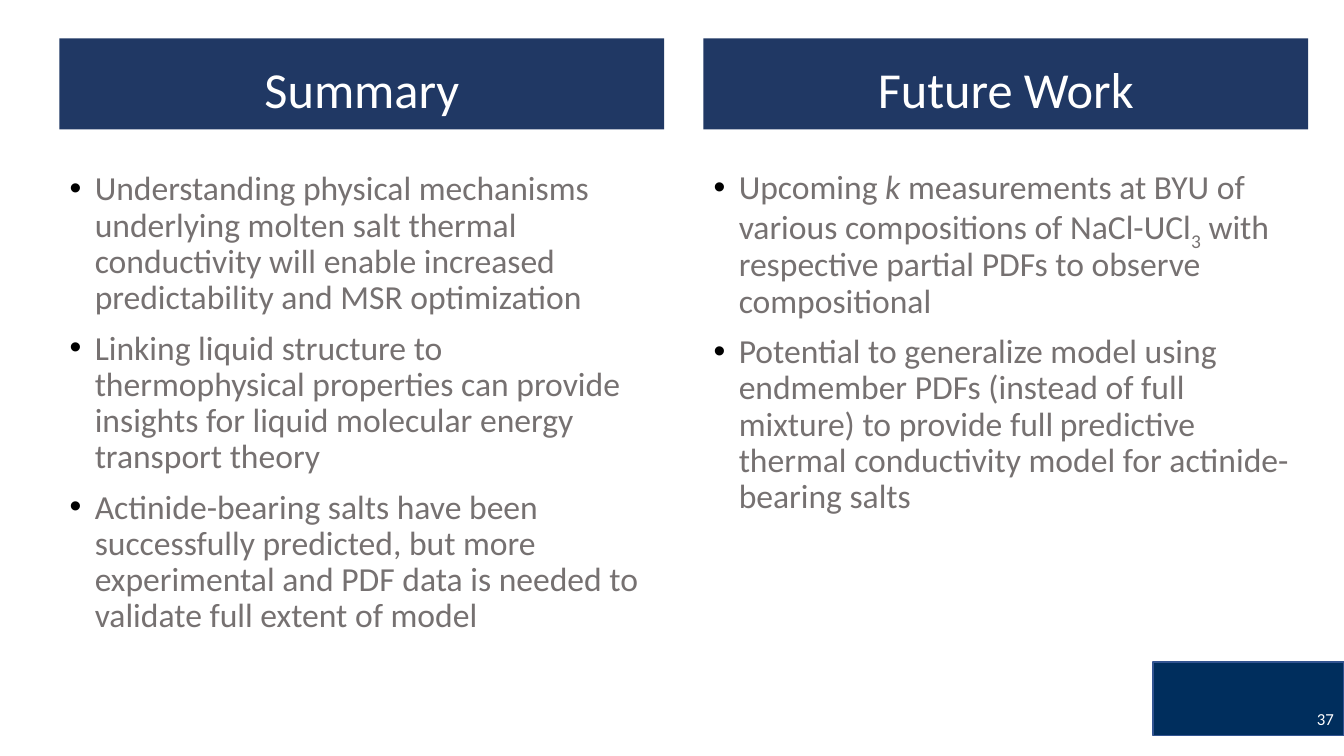
from collections import namedtuple
from dataclasses import dataclass

from lxml import etree
from pptx import Presentation
from pptx import util as u
from pptx.dml.color import RGBColor
from pptx.enum import shapes, text
from pptx.oxml import ns

Box = namedtuple("Box", "left top width height")


@dataclass(frozen=True)
class Theme:
    font: str = "Calibri"
    banner: str = "203864"
    corner: str = "002E5D"
    corner_line: str = "325491"
    body: str = "767171"
    bullet: str = "000000"
    light: str = "FFFFFF"
    heading_size: float = 36
    body_size: float = 24
    small_size: float = 20
    number_size: float = 12


THEME = Theme()
INSET = 7.2
BANNER_HEIGHT = 65
COLUMN_PITCH = 460
FIRST_COLUMN = Box(42.5, 27.4, 432, 469.4)
CORNER = Box(823.7, 473, 136.3, 52.6)
PARAGRAPH_FORMAT = {"line_spacing": 0.9, "space_after": u.Pt(0)}

COLUMNS = [
    ("Summary", 23.2, [
        [("Understanding physical mechanisms underlying molten salt thermal conductivity "
          "will enable increased predictability and MSR optimization", "")],
        [("Linking liquid structure to thermophysical properties can provide insights "
          "for liquid molecular energy transport theory", "")],
        [("Actinide-bearing salts have been successfully predicted, but more experimental "
          "and PDF data is needed to validate full extent of model", "")],
    ]),
    ("Future Work", 22.1, [
        [("Upcoming ", ""), ("k", "italic"),
         (" measurements at BYU of various compositions of NaCl-UCl", ""),
         ("3", "subscript"),
         (" with respective partial PDFs to observe compositional", "")],
        [("Potential to generalize model using endmember PDFs (instead of full mixture) "
          "to provide full", ""), (" ", "small"),
         ("predictive thermal conductivity model for actinide-bearing salts", "")],
    ]),
]


def apply(target, values):
    for name, value in values.items():
        setattr(target, name, value)


def place(shape, box):
    apply(shape, {name: u.Pt(value) for name, value in box._asdict().items()})


def set_frame(shape, anchor):
    apply(shape.text_frame, {
        "word_wrap": True,
        "auto_size": text.MSO_AUTO_SIZE.NONE,
        "vertical_anchor": anchor,
        "margin_left": u.Pt(INSET),
        "margin_right": u.Pt(INSET),
        "margin_top": u.Pt(INSET),
        "margin_bottom": u.Pt(INSET),
    })


def fill_solid(shape, color):
    shape.fill.solid()
    shape.fill.fore_color.rgb = RGBColor.from_string(color)


def add_run(paragraph, words, size, color, style=""):
    run = paragraph.add_run()
    run.text = words
    apply(run.font, {"name": THEME.font, "size": u.Pt(size), "bold": False,
                     "italic": style == "italic"})
    run.font.color.rgb = RGBColor.from_string(color)
    if style == "subscript":
        run._r.get_or_add_rPr().set("baseline", "-25000")


def set_bullet(paragraph):
    properties = paragraph._p.get_or_add_pPr()
    properties.set("marL", str(u.Pt(18)))
    properties.set("indent", str(-u.Pt(18)))
    color = etree.SubElement(properties, ns.qn("a:buClr"))
    etree.SubElement(color, ns.qn("a:srgbClr")).set("val", THEME.bullet)
    etree.SubElement(properties, ns.qn("a:buFont")).set("typeface", "Arial")
    etree.SubElement(properties, ns.qn("a:buChar")).set("char", "•")


def fill_banner(shape, box, heading):
    place(shape, box)
    fill_solid(shape, THEME.banner)
    set_frame(shape, text.MSO_ANCHOR.BOTTOM)
    paragraph = shape.text_frame.paragraphs[0]
    apply(paragraph, {**PARAGRAPH_FORMAT, "alignment": text.PP_ALIGN.CENTER,
                      "space_before": u.Pt(0)})
    add_run(paragraph, heading, THEME.heading_size, THEME.light)


def fill_bullets(shape, box, items):
    place(shape, box)
    set_frame(shape, text.MSO_ANCHOR.TOP)
    frame = shape.text_frame
    for index, runs in enumerate(items):
        paragraph = frame.add_paragraph() if index else frame.paragraphs[0]
        set_bullet(paragraph)
        apply(paragraph, {**PARAGRAPH_FORMAT, "space_before": u.Pt(10 if index else 0)})
        for words, style in runs:
            size = THEME.small_size if style == "small" else THEME.body_size
            add_run(paragraph, words, size, THEME.body, style)


def fill_column(banner, body, box, heading, text_offset, items):
    fill_banner(banner, box._replace(height=BANNER_HEIGHT), heading)
    drop = BANNER_HEIGHT + text_offset
    fill_bullets(body, box._replace(top=box.top + drop, height=box.height - drop), items)


def add_corner(slide, box):
    block = slide.shapes.add_shape(shapes.MSO_SHAPE.RECTANGLE,
                                   *(u.Pt(value) for value in box))
    block.shadow.inherit = False
    fill_solid(block, THEME.corner)
    block.line.color.rgb = RGBColor.from_string(THEME.corner_line)
    block.line.width = u.Pt(1)
    number = slide.shapes.add_textbox(0, 0, 0, 0)
    place(number, Box(box.left, box.top + 26, box.width, 28.8))
    set_frame(number, text.MSO_ANCHOR.MIDDLE)
    apply(number.text_frame, {"margin_top": u.Pt(3.6), "margin_bottom": u.Pt(3.6)})
    paragraph = number.text_frame.paragraphs[0]
    paragraph.alignment = text.PP_ALIGN.RIGHT
    add_run(paragraph, "37", THEME.number_size, THEME.light)


def build_comparison(presentation):
    slide = presentation.slides.add_slide(
        presentation.slide_layouts.get_by_name("Comparison"))
    title, *parts = list(slide.placeholders)
    title._element.getparent().remove(title._element)
    for index, column in enumerate(COLUMNS):
        box = FIRST_COLUMN._replace(left=FIRST_COLUMN.left + index * COLUMN_PITCH)
        fill_column(*parts[2 * index:2 * index + 2], box, *column)
    add_corner(slide, CORNER)


def main():
    presentation = Presentation()
    apply(presentation, {"slide_width": u.Pt(960), "slide_height": u.Pt(540)})
    build_comparison(presentation)
    presentation.save("out.pptx")


if __name__ == "__main__":
    main()
